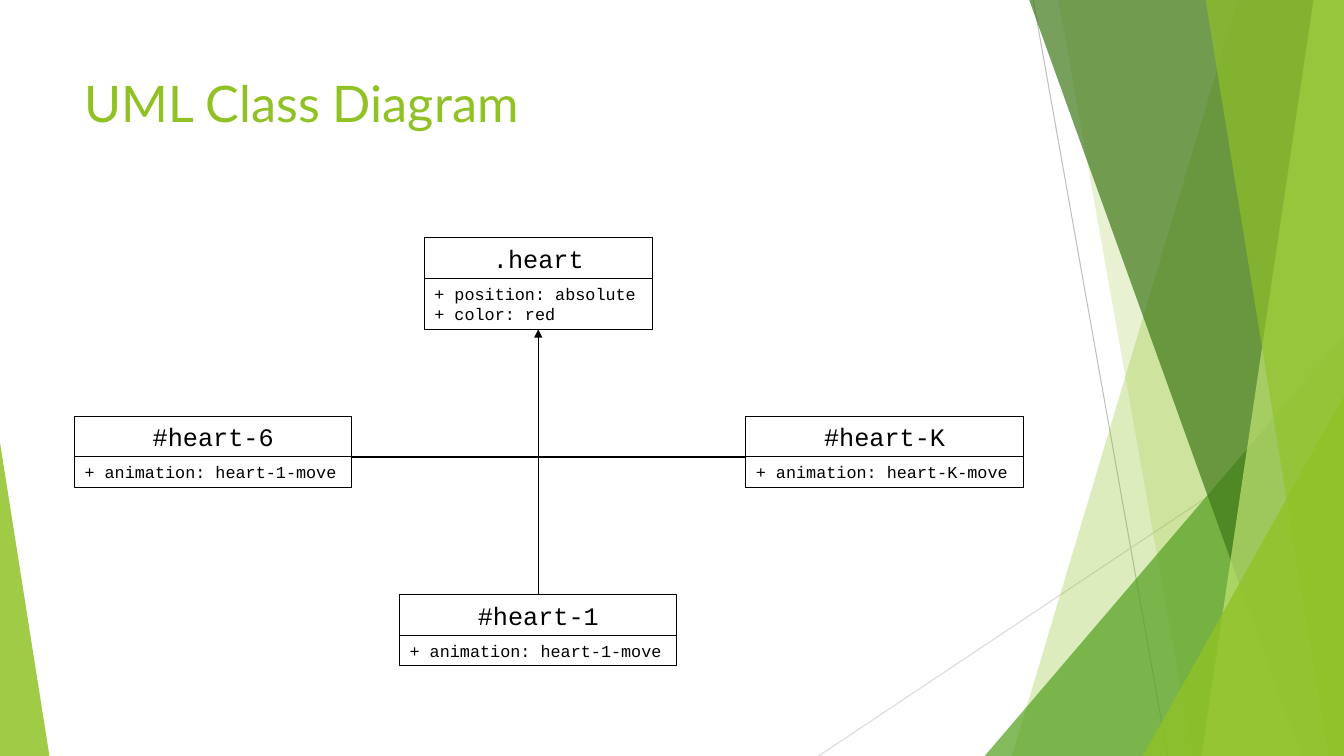
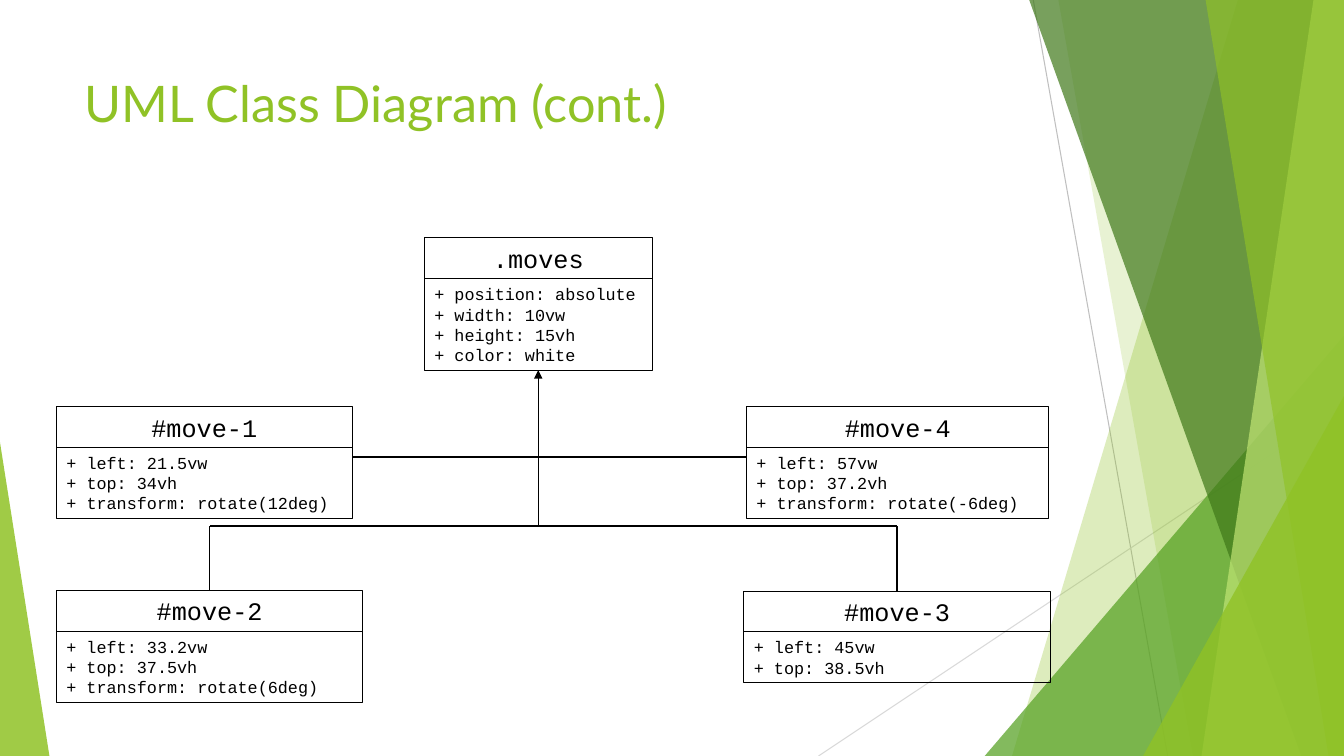
from dataclasses import dataclass

from pptx import Presentation
from pptx import util as u
from pptx.dml.color import RGBColor
from pptx.enum import shapes, text
from pptx.oxml.ns import qn
from pptx.oxml.xmlchemy import OxmlElement


# Theme: colours, fonts and type sizes
@dataclass(frozen=True)
class Theme:
    lime: str = "90C226"
    green: str = "54A021"
    forest: str = "3F7819"
    pale: str = "C0E474"
    grey: str = "BFBFBF"
    light_grey: str = "D9D9D9"
    ink: str = "000000"
    title_font: str = "Lato"
    code_font: str = "Courier New"
    title_size: int = 36
    name_size: int = 18
    member_size: int = 12
    hairline: float = 0.75
    wire: float = 1


T = Theme()
W, H = u.Inches(13.33), u.Inches(7.5)

# Layout rules, in percent of the slide's width or height
HEAD_H, LINE_H, PAD_H = 5.4, 2.7, 1.3
AXIS_X, MID_Y, FORK_Y = 40.05, 60.45, 69.6
Point = tuple[float, float]


@dataclass(frozen=True)
class Band:
    """A slanted panel that reaches the right edge."""
    top_x: float
    bottom_x: float
    color: str
    alpha: int


@dataclass(frozen=True)
class Wedge:
    """A right-angled triangle standing on the bottom edge."""
    left: float
    top: float
    width: float
    apex: float
    color: str
    alpha: int


@dataclass(frozen=True)
class UmlClass:
    name: str
    members: tuple[str, ...]
    left: float
    top: float
    width: float

    @property
    def right(self) -> float:
        return self.left + self.width

    @property
    def center(self) -> float:
        return self.left + self.width / 2

    @property
    def body_height(self) -> float:
        return PAD_H + LINE_H * len(self.members)

    @property
    def bottom(self) -> float:
        return self.top + HEAD_H + self.body_height


@dataclass(frozen=True)
class Wire:
    start: Point
    end: Point
    arrow: bool = False


BACKDROP = (
    Band(92.1, 75.3, T.lime, 30),
    Band(78.75, 88.75, T.lime, 20),
    Wedge(73.27, 44.4, 26.73, 1, T.green, 72),
    Band(76.58, 96.82, T.forest, 70),
    Band(97.73, 89.4, T.pale, 70),
    Band(89.7, 98.85, T.lime, 65),
    Wedge(85.05, 52.4, 14.95, 1, T.lime, 80),
    Wedge(0, 58.5, 3.68, 0, T.lime, 85),
)


def px(share: float) -> int:
    return round(W * share / 100)


def py(share: float) -> int:
    return round(H * share / 100)


def rgb(color: str) -> RGBColor:
    return RGBColor.from_string(color)


def add_run(p, content: str, font: str, size: float, color: str) -> None:
    r = p.add_run()
    r.text = content
    r.font.name, r.font.size = font, u.Pt(size)
    r.font.color.rgb = rgb(color)


def add_line(s, start: Point, end: Point, color: str, width: float, arrow: bool = False):
    cx = s.shapes.add_connector(shapes.MSO_CONNECTOR.STRAIGHT, px(start[0]), py(start[1]),
                                px(end[0]), py(end[1]))
    cx.line.color.rgb, cx.line.width = rgb(color), u.Pt(width)
    sp_pr = cx.element.spPr
    if arrow:
        tail = OxmlElement("a:tailEnd")
        tail.set("type", "triangle")
        sp_pr.find(qn("a:ln")).append(tail)
    sp_pr.append(OxmlElement("a:effectLst"))
    return cx


def paint(sp, color: str, alpha: int) -> None:
    """Fill without outline or shadow, at the given opacity."""
    sp.shadow.inherit = False
    sp.fill.solid()
    sp.fill.fore_color.rgb = rgb(color)
    sp.line.fill.background()
    node = OxmlElement("a:alpha")
    node.set("val", str(alpha * 1000))
    sp.element.spPr.find(qn("a:solidFill"))[0].append(node)


def add_band(s, band: Band):
    fb = s.shapes.build_freeform(px(band.top_x), 0, scale=1.0)
    fb.add_line_segments([(W, 0), (W, H), (px(band.bottom_x), H)], close=True)
    sp = fb.convert_to_shape()
    paint(sp, band.color, band.alpha)
    return sp


def add_wedge(s, wedge: Wedge):
    top = py(wedge.top)
    sp = s.shapes.add_shape(shapes.MSO_SHAPE.ISOSCELES_TRIANGLE, px(wedge.left), top,
                            px(wedge.width), H - top)
    sp.adjustments[0] = wedge.apex
    paint(sp, wedge.color, wedge.alpha)
    return sp


def move_backdrop_to_layout(s, layout) -> None:
    """Draw the shared backdrop once and hand it over to the layout."""
    for ph in list(layout.placeholders):
        if ph.placeholder_format.type != shapes.PP_PLACEHOLDER.TITLE:
            ph.element.getparent().remove(ph.element)
    parts = [add_line(s, (76.88, 0), (86.88, 100), T.grey, T.hairline),
             add_line(s, (100, 53.7), (60.9, 100), T.light_grey, T.hairline)]
    for part in BACKDROP:
        parts.append(add_band(s, part) if isinstance(part, Band) else add_wedge(s, part))
    for sp in parts:
        layout.shapes.element.append(sp.element)


def set_title(s, content: str) -> None:
    sp = s.shapes.title
    sp.left, sp.top, sp.width, sp.height = px(5.55), py(8.9), px(70.5), py(19.2)
    tf = sp.text_frame
    tf.vertical_anchor = text.MSO_ANCHOR.TOP
    p = tf.paragraphs[0]
    p.alignment = text.PP_ALIGN.LEFT
    add_run(p, content, T.title_font, T.title_size, T.lime)


def add_cell(grp, box: UmlClass, top: float, height: float, lines: tuple[str, ...],
             size: float, align) -> None:
    sp = grp.shapes.add_shape(shapes.MSO_SHAPE.RECTANGLE, px(box.left), py(top),
                              px(box.width), py(height))
    sp.shadow.inherit = False
    sp.fill.background()
    sp.line.color.rgb, sp.line.width = rgb(T.ink), u.Pt(T.hairline)
    tf = sp.text_frame
    tf.word_wrap = True
    tf.vertical_anchor = text.MSO_ANCHOR.MIDDLE
    for i, line in enumerate(lines):
        p = tf.add_paragraph() if i else tf.paragraphs[0]
        p.alignment = align
        add_run(p, line, T.code_font, size, T.ink)


def add_class(s, box: UmlClass) -> None:
    grp = s.shapes.add_group_shape()
    add_cell(grp, box, box.top, HEAD_H, (box.name,), T.name_size, text.PP_ALIGN.CENTER)
    add_cell(grp, box, box.top + HEAD_H, box.body_height, box.members, T.member_size,
             text.PP_ALIGN.LEFT)


def add_diagram(s, title: str, boxes: list[UmlClass], wires: list[Wire]) -> None:
    set_title(s, title)
    for box in boxes:
        add_class(s, box)
    for wire in wires:
        add_line(s, wire.start, wire.end, T.ink, T.wire, wire.arrow)


def root_class(name: str, *members: str) -> UmlClass:
    width = 16.95
    return UmlClass(name, members, AXIS_X - width / 2, 31.47, width)


def cross_wires(root: UmlClass, left: UmlClass, right: UmlClass, foot: float) -> list[Wire]:
    """Side classes meet on the axis, which points up to the root."""
    return [Wire((left.right, MID_Y), (right.left, MID_Y)),
            Wire((AXIS_X, foot), (AXIS_X, root.bottom), arrow=True)]


def heart_slide(s) -> None:
    width, side_top = 20.63, MID_Y - HEAD_H
    root = root_class(".heart", "+ position: absolute", "+ color: red")
    left = UmlClass("#heart-6", ("+ animation: heart-1-move",), 5.55, side_top, width)
    below = UmlClass("#heart-1", ("+ animation: heart-1-move",), AXIS_X - width / 2, 78.7, width)
    right = UmlClass("#heart-K", ("+ animation: heart-K-move",), 55.5, side_top, width)
    add_diagram(s, "UML Class Diagram", [root, left, below, right],
                cross_wires(root, left, right, below.top))


def move_slide(s) -> None:
    root = root_class(".moves", "+ position: absolute", "+ width: 10vw",
                      "+ height: 15vh", "+ color: white")
    move1 = UmlClass("#move-1", ("+ left: 21.5vw", "+ top: 34vh",
                                 "+ transform: rotate(12deg)"), 4.2, 53.8, 22)
    move2 = UmlClass("#move-2", ("+ left: 33.2vw", "+ top: 37.5vh",
                                 "+ transform: rotate(6deg)"), 4.2, 78.1, 22.8)
    move3 = UmlClass("#move-3", ("+ left: 45vw", "+ top: 38.5vh"), 55.35, 78.2, 22.8)
    move4 = UmlClass("#move-4", ("+ left: 57vw", "+ top: 37.2vh",
                                 "+ transform: rotate(-6deg)"), 55.55, 53.8, 22.5)
    wires = cross_wires(root, move1, move4, FORK_Y)
    for box in (move2, move3):
        wires += [Wire((AXIS_X, FORK_Y), (box.center, FORK_Y)),
                  Wire((box.center, FORK_Y), (box.center, box.top))]
    add_diagram(s, "UML Class Diagram (cont.)", [root, move1, move2, move3, move4], wires)


def main() -> None:
    prs = Presentation()
    prs.slide_width, prs.slide_height = W, H
    layout = prs.slide_layouts[5]
    first, second = (prs.slides.add_slide(layout) for _ in range(2))
    move_backdrop_to_layout(first, layout)
    heart_slide(first)
    move_slide(second)
    prs.save("out.pptx")


if __name__ == "__main__":
    main()
